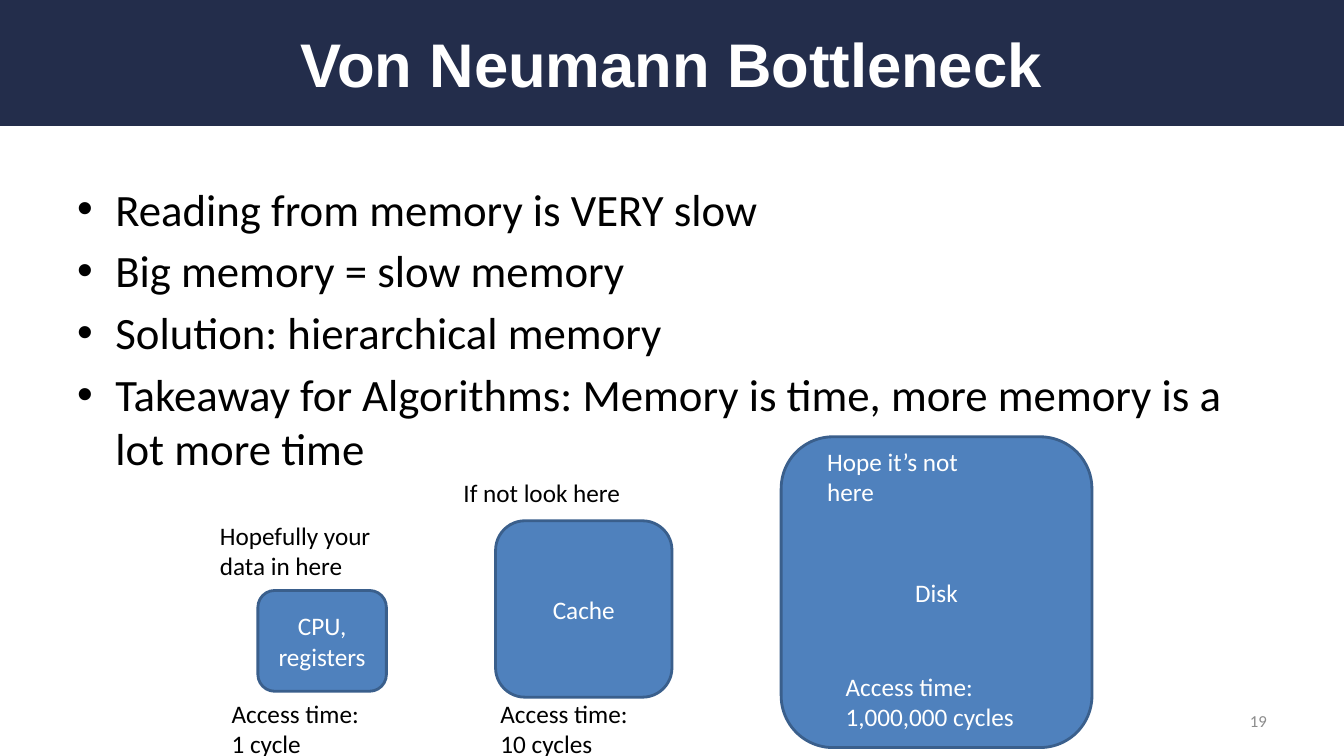
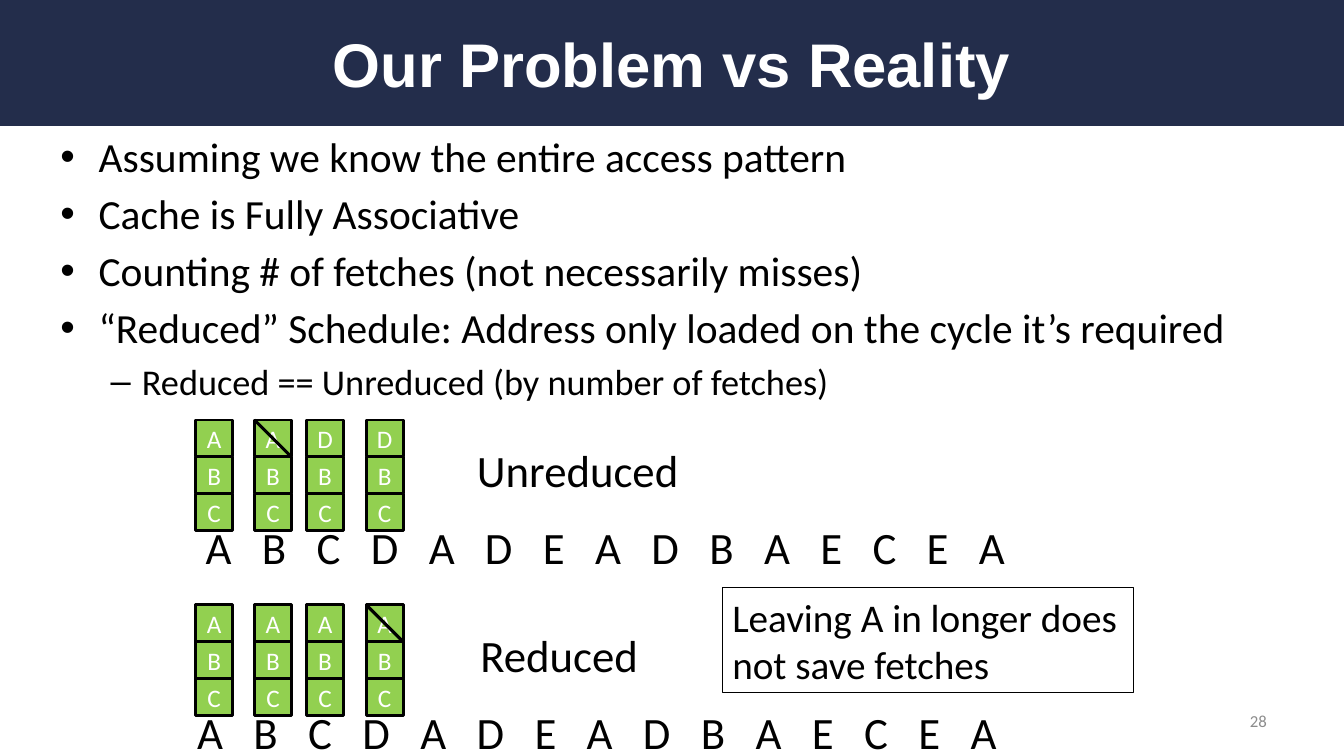
import dataclasses

import lxml.etree
import pptx
import pptx.dml.color
import pptx.enum.shapes
import pptx.enum.text
import pptx.oxml.ns
import pptx.util

# The page is a grid of square cells, twelve to the inch
COLUMNS, ROWS = 160, 90
CELL = pptx.util.Inches(1 / 12)
BAND_ROWS = 15

ANCHOR = pptx.enum.text.MSO_ANCHOR
ALIGN = pptx.enum.text.PP_ALIGN
SHAPE = pptx.enum.shapes.MSO_SHAPE


@dataclasses.dataclass(frozen=True)
class Theme:
    heading_font: str = "Arial"
    text_font: str = "Calibri"
    navy: str = "232D4B"
    white: str = "FFFFFF"
    black: str = "000000"
    gray: str = "8C8C8C"
    blue: str = "4F81BD"
    blue_edge: str = "3A5F8C"
    green: str = "92D050"
    title_size: float = 44
    large_size: float = 32
    callout_size: float = 28
    label_size: float = 18
    number_size: float = 12
    space_before: float = 0.18  # share of the type size


THEME = Theme()


def grid(*lengths):
    return [round(length * CELL) for length in lengths]


def color(value):
    return pptx.dml.color.RGBColor.from_string(value)


def style(para, size, ink, font=THEME.text_font, bold=False):
    para.font.size = pptx.util.Pt(size)
    para.font.name = font
    para.font.bold = bold
    para.font.color.rgb = color(ink)


def write(box, lines, size, ink=THEME.black, align=ALIGN.LEFT,
          anchor=ANCHOR.TOP, wrap=True, **font):
    """Fill a shape or text box with one paragraph per line."""
    frame = box.text_frame
    frame.word_wrap = wrap
    frame.vertical_anchor = anchor
    frame.text = lines
    for para in frame.paragraphs:
        para.alignment = align
        style(para, size, ink, **font)


def add_text(page, at, lines, size, **options):
    box = page.shapes.add_textbox(*grid(*at))
    write(box, lines, size, **options)
    return box


def add_block(shapes, kind, at, fill=None, edge=None, weight=2):
    block = shapes.add_shape(kind, *grid(*at))
    block.shadow.inherit = False
    if fill:
        block.fill.solid()
        block.fill.fore_color.rgb = color(fill)
    else:
        block.fill.background()
    if edge:
        block.line.color.rgb = color(edge)
        block.line.width = pptx.util.Pt(weight)
    else:
        block.line.fill.background()
    return block


def add_line(page, start, end):
    line = page.shapes.add_connector(
        pptx.enum.shapes.MSO_CONNECTOR.STRAIGHT, *grid(*start, *end))
    line.line.color.rgb = color(THEME.black)
    line.line.width = pptx.util.Pt(2.25)
    lxml.etree.SubElement(line._element.spPr, pptx.oxml.ns.qn("a:effectLst"))


def add_bullets(page, at, items):
    """Each item is (text, bullet sign, type size, indent, hanging)."""
    frame = page.shapes.add_textbox(*grid(*at)).text_frame
    frame.word_wrap = True
    for index, (text, sign, size, indent, hanging) in enumerate(items):
        para = frame.add_paragraph() if index else frame.paragraphs[0]
        para.text = text
        para.space_before = pptx.util.Pt(size * THEME.space_before)
        properties = para._p.get_or_add_pPr()
        properties.set("marL", str(pptx.util.Inches(indent)))
        properties.set("indent", str(-pptx.util.Inches(hanging)))
        for tag, name, value in (("a:buFont", "typeface", THEME.heading_font),
                                 ("a:buChar", "char", sign)):
            mark = lxml.etree.SubElement(properties, pptx.oxml.ns.qn(tag))
            mark.set(name, value)
        style(para, size, THEME.black)


def bullet(text, size):
    return text, "•", size, 0.38, 0.38


def dash(text, size):
    return text, "–", size, 0.81, 0.31


def add_page(deck, title, number):
    """Add a blank page with the title band and the page number."""
    page = deck.slides.add_slide(deck.slide_layouts[6])
    add_block(page.shapes, SHAPE.RECTANGLE, (0, 0, COLUMNS, BAND_ROWS), THEME.navy)
    add_text(page, (8, 0, COLUMNS - 16, BAND_ROWS), title, THEME.title_size,
             ink=THEME.white, align=ALIGN.CENTER, anchor=ANCHOR.MIDDLE,
             font=THEME.heading_font, bold=True)
    add_text(page, (114.7, 83.4, 37.3, 4.8), str(number), THEME.number_size,
             ink=THEME.gray, align=ALIGN.RIGHT, anchor=ANCHOR.MIDDLE)
    return page


def add_memory(page, name, at):
    box = add_block(page.shapes, SHAPE.ROUNDED_RECTANGLE, at, THEME.blue, THEME.blue_edge)
    write(box, name, THEME.label_size, ink=THEME.white,
          align=ALIGN.CENTER, anchor=ANCHOR.MIDDLE)


def add_cache_stack(page, left, top, addresses, evicted):
    """Draw the cache at one cycle; strike out the top address if evicted."""
    side = 4.4
    group = page.shapes.add_group_shape()
    for row, address in enumerate(addresses):
        slot = add_block(group.shapes, SHAPE.RECTANGLE,
                         (left, top + row * side, side, side), THEME.green, THEME.black)
        write(slot, address, THEME.label_size, ink=THEME.white,
              align=ALIGN.CENTER, anchor=ANCHOR.MIDDLE)
    if evicted:
        add_line(page, (left, top), (left + side, top + side))


def add_schedule(page, top, name, name_left, accesses_left, stacks, evicted_at):
    """Draw cache stacks, the schedule's name and the accesses below them."""
    stack_lefts = (23.3, 30.3, 36.5, 43.6)
    for cycle, (left, addresses) in enumerate(zip(stack_lefts, stacks)):
        add_cache_stack(page, left, top, addresses, cycle == evicted_at)
    add_text(page, (name_left, top + 2.1, 27, 7.7), name, THEME.large_size, wrap=False)
    accesses = add_text(page, (accesses_left, top + 11.3, 98.8, 7.7),
                        " ".join("ABCDADEADBAECEA"), THEME.large_size, wrap=False)
    # Letter spacing, in hundredths of a point, sets the accesses apart
    span = accesses.text_frame.paragraphs[0].runs[0]
    span._r.get_or_add_rPr().set("spc", "723")


def build_bottleneck(deck):
    page = add_page(deck, "Von Neumann Bottleneck", 19)
    add_bullets(page, (8, 21, 144, 59.4), [
        bullet(text, THEME.large_size) for text in (
            "Reading from memory is VERY slow",
            "Big memory = slow memory",
            "Solution: hierarchical memory",
            "Takeaway for Algorithms: Memory is time, more memory is a lot more time",
        )])

    # Memory levels, from small and fast to big and slow
    for name, at in (("CPU, registers", (30.7, 70.3, 15.3, 12)),
                     ("Cache", (59, 62, 21, 21)),
                     ("Disk", (93, 52, 37, 37))):
        add_memory(page, name, at)

    # Hints and access times
    for text, left, top, ink in (
            ("If not look here", 54, 56.2, THEME.black),
            ("Hopefully your data in here", 25, 61.3, THEME.black),
            ("Hope it’s not here", 97.3, 52.5, THEME.white),
            ("Access time:\n1 cycle", 26.4, 82.5, THEME.black),
            ("Access time:\n10 cycles", 58.4, 82.5, THEME.black),
            ("Access time:\n1,000,000 cycles", 99.5, 79.3, THEME.white)):
        add_text(page, (left, top, 24, 7.5), text, THEME.label_size, ink=ink)


def build_problem(deck):
    page = add_page(deck, "Our Problem vs Reality", 28)
    add_bullets(page, (6, BAND_ROWS, COLUMNS - 12, 34), [
        *(bullet(text, 29.6) for text in (
            "Assuming we know the entire access pattern",
            "Cache is Fully Associative",
            "Counting # of fetches (not necessarily misses)",
            "“Reduced” Schedule: Address only loaded on the cycle it’s required",
        )),
        dash("Reduced == Unreduced (by number of fetches)", 25.9),
    ])

    # The two schedules
    add_schedule(page, 50, "Unreduced", 55.6, 23.3, ("ABC", "ABC", "DBC", "DBC"), 1)
    add_schedule(page, 72, "Reduced", 56, 22.3, ("ABC",) * 4, 3)

    # Conclusion
    callout = add_block(page.shapes, SHAPE.RECTANGLE, (86, 70, 49, 12.5),
                        edge=THEME.black, weight=0.75)
    write(callout, "Leaving A in longer does not save fetches", THEME.callout_size)


def main():
    deck = pptx.Presentation()
    deck.slide_width, deck.slide_height = grid(COLUMNS, ROWS)
    build_bottleneck(deck)
    build_problem(deck)
    deck.save("out.pptx")


if __name__ == "__main__":
    main()
